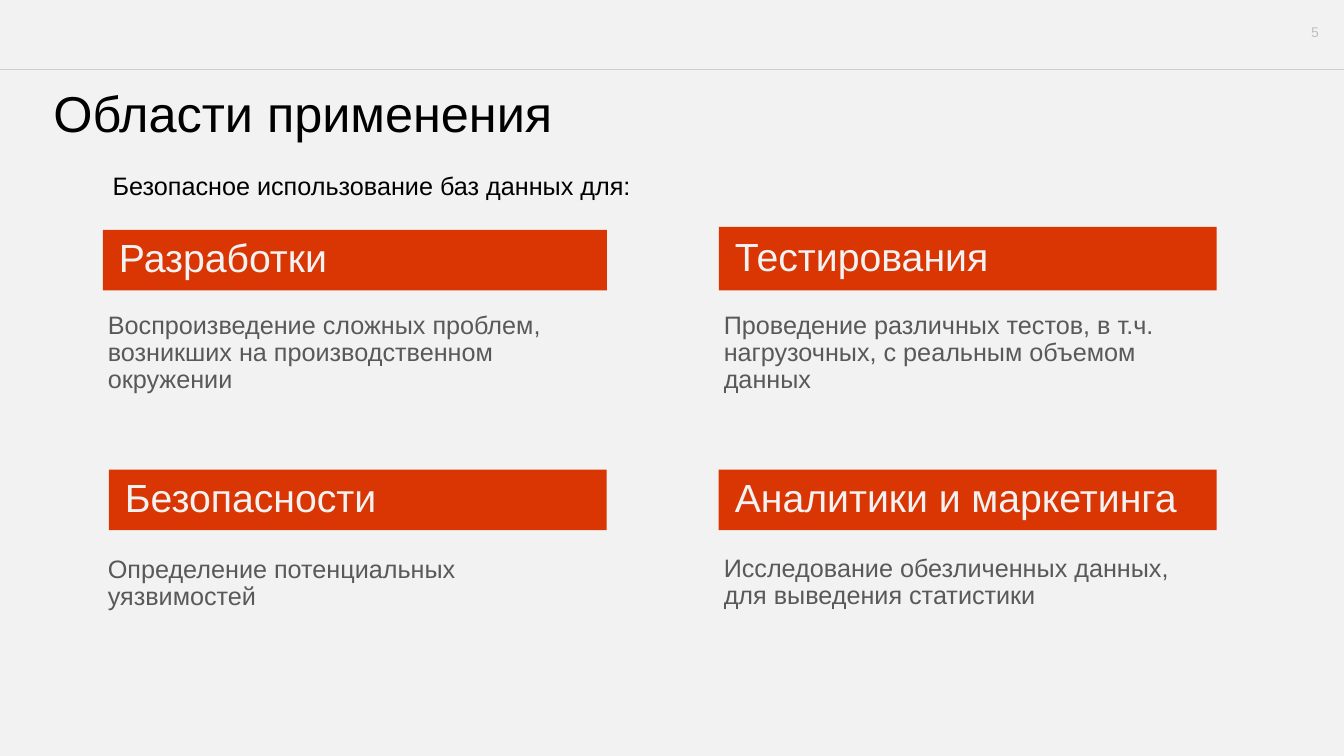
"""Builds the slide on the areas of application of safe databases."""
from dataclasses import dataclass

from lxml import etree
from pptx import Presentation
from pptx.dml.color import RGBColor
from pptx.enum.shapes import MSO_CONNECTOR, MSO_SHAPE
from pptx.enum.text import MSO_ANCHOR, MSO_AUTO_SIZE, PP_ALIGN
from pptx.oxml.ns import qn
from pptx.util import Inches, Pt

STRAIGHT, RECTANGLE = MSO_CONNECTOR.STRAIGHT, MSO_SHAPE.RECTANGLE
TOP, MIDDLE = MSO_ANCHOR.TOP, MSO_ANCHOR.MIDDLE
LEFT, RIGHT = PP_ALIGN.LEFT, PP_ALIGN.RIGHT
NO_AUTOFIT = MSO_AUTO_SIZE.NONE
WIDTH, HEIGHT = Inches(13.33), Inches(7.5)
COMPARISON_LAYOUT = 4


@dataclass(frozen=True)
class Theme:
    """Colours, type sizes and text insets of the slide."""
    font: str = "Arial"
    paper: str = "F2F2F2"
    accent: str = "DA3603"
    ink: str = "000000"
    muted: str = "595959"
    faint: str = "BFBFBF"
    rule: str = "CDCDCD"
    title: int = 36
    heading: int = 28
    body: int = 18
    number: int = 10
    inset: float = 0.05
    heading_inset: float = 0.16


THEME = Theme()

# Each area: heading, its box, description, its box; boxes in percent of the slide.
AREAS = (
    ("Разработки", (7.65, 30.4, 37.5, 8),
     "Воспроизведение сложных проблем, возникших на производственном окружении",
     (7.65, 40.67, 37.5, 16.93)),
    ("Тестирования", (53.48, 30, 37.05, 8.4),
     "Проведение различных тестов, в т.ч. нагрузочных, с реальным объемом данных",
     (53.48, 40.67, 37.05, 16.93)),
    ("Безопасности", (8.1, 62.13, 37.05, 8),
     "Определение потенциальных уязвимостей",
     (7.65, 72.93, 37.5, 13.47)),
    ("Аналитики и маркетинга", (53.48, 62.13, 37.05, 8),
     "Исследование обезличенных данных, для выведения статистики",
     (53.48, 72.8, 37.05, 16.93)),
)


def to_lengths(box):
    """Turn percentages of the slide into left, top, width and height."""
    return [round(share * side / 100) for share, side in zip(box, (WIDTH, HEIGHT) * 2)]


def place(holder, box):
    """Move a placeholder to a box."""
    holder.left, holder.top, holder.width, holder.height = to_lengths(box)
    return holder


def write(holder, text, size, colour, anchor=TOP, align=LEFT, spacing=0.9,
          inset=THEME.inset, left_inset=None):
    """Fill a text holder with one plain paragraph."""
    frame = holder.text_frame
    frame.text = text
    frame.word_wrap = True
    frame.auto_size = NO_AUTOFIT
    frame.vertical_anchor = anchor
    frame.margin_left = Inches(inset if left_inset is None else left_inset)
    frame.margin_top = frame.margin_right = frame.margin_bottom = Inches(inset)
    paragraph = frame.paragraphs[0]
    paragraph.alignment = align
    paragraph.line_spacing = spacing
    paragraph.space_before = Pt(0)
    properties = paragraph._p.get_or_add_pPr()
    properties.set("marL", "0")
    properties.set("indent", "0")
    etree.SubElement(properties, qn("a:buNone"))
    font = paragraph.runs[0].font
    font.name, font.size, font.bold = THEME.font, Pt(size), False
    font.color.rgb = RGBColor.from_string(colour)


def add_heading(slide, text, box, placeholder=None):
    """Draw the coloured heading bar of an area."""
    if placeholder is None:
        bar = slide.shapes.add_shape(RECTANGLE, *to_lengths(box))
        bar.shadow.inherit = False
    else:
        bar = place(placeholder, box)
    bar.fill.solid()
    bar.fill.fore_color.rgb = RGBColor.from_string(THEME.accent)
    bar.line.fill.background()
    write(bar, text, THEME.heading, THEME.paper, MIDDLE, left_inset=THEME.heading_inset)


def add_description(slide, text, box, placeholder=None):
    """Write the description below a heading bar."""
    if placeholder is None:
        description = slide.shapes.add_textbox(*to_lengths(box))
    else:
        description = place(placeholder, box)
    write(description, text, THEME.body, THEME.muted)


def add_header(slide):
    """Draw the rule across the top and the slide number."""
    number = slide.shapes.add_textbox(*to_lengths((93.4, 3.07, 4.73, 2.4)))
    write(number, "5", THEME.number, THEME.faint, align=RIGHT, spacing=1.0, inset=0)
    level = round(HEIGHT * 0.092)
    rule = slide.shapes.add_connector(STRAIGHT, 0, level, WIDTH, level)
    rule.line.color.rgb = RGBColor.from_string(THEME.rule)
    rule.line.width = Pt(1)
    etree.SubElement(rule._element.spPr, qn("a:effectLst"))


def main():
    """Build and save the slide."""
    deck = Presentation()
    deck.slide_width, deck.slide_height = WIDTH, HEIGHT
    slide = deck.slides.add_slide(deck.slide_layouts[COMPARISON_LAYOUT])
    slide.background.fill.solid()
    slide.background.fill.fore_color.rgb = RGBColor.from_string(THEME.paper)
    add_header(slide)
    title = place(slide.shapes.title, (3.6, 11.07, 53.26, 15.73))
    write(title, "Области применения", THEME.title, THEME.ink)
    bodies = iter(list(slide.placeholders)[1:])
    for heading, heading_box, description, description_box in AREAS:
        add_heading(slide, heading, heading_box, next(bodies, None))
        add_description(slide, description, description_box, next(bodies, None))
    lead = slide.shapes.add_textbox(*to_lengths((7.65, 21.87, 50.11, 5.33)))
    write(lead, "Безопасное использование баз данных для:", THEME.body, THEME.ink,
          spacing=1.0, left_inset=0.1)
    deck.save("out.pptx")


if __name__ == "__main__":
    main()
